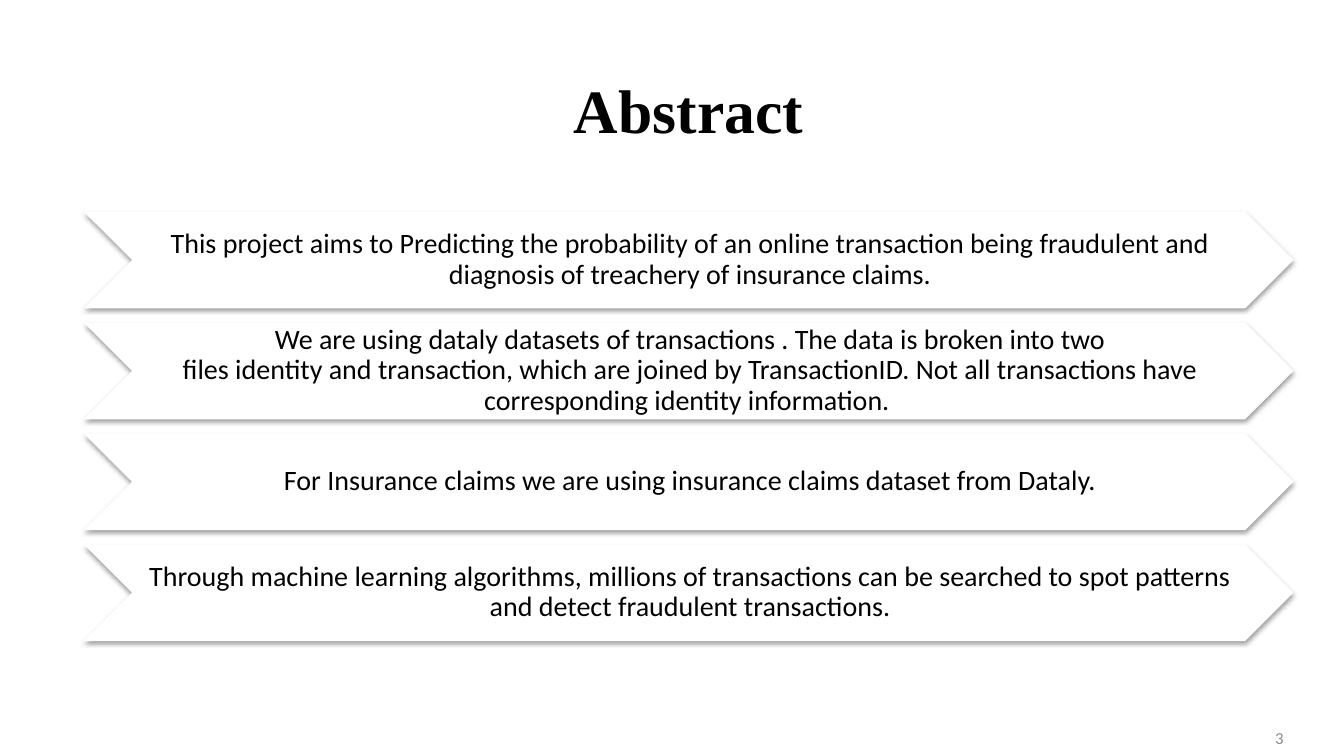
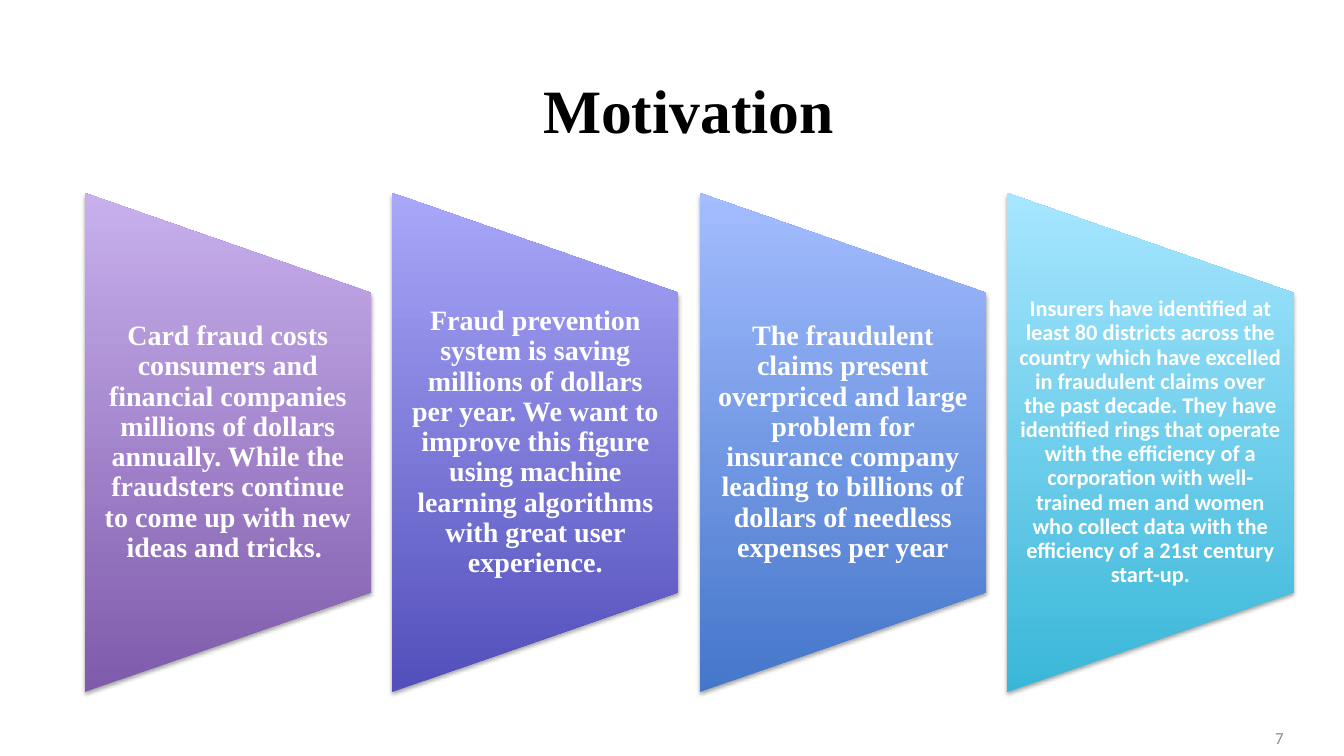
from dataclasses import dataclass
from typing import Any

from lxml import etree
from pptx import Presentation
from pptx import util as u
from pptx.dml.color import RGBColor
from pptx.enum import shapes, text
from pptx.oxml import ns


@dataclass(frozen=True)
class Theme:
    heading: str = "Times New Roman"
    body: str = "Calibri"
    black: str = "000000"
    white: str = "FFFFFF"
    gray: str = "8C8C8C"
    title_size: int = 44
    text_size: int = 20
    small_size: int = 16
    number_size: int = 12


@dataclass(frozen=True)
class Panel:
    message: str
    dark: str
    light: str
    font: str
    size: int
    inset: float = 0.14


THEME = Theme()
HARD_SPACE = chr(160)
LEFT, CONTENT_WIDTH = 0.83, 12
CHEVRON_TOP, CHEVRON_HEIGHT, CHEVRON_STEP = 2.1, 0.96, 1.1
PANEL_LEFT, PANEL_STEP = 0.84, 3.05
PANEL_WIDTH, PANEL_HEIGHT, PANEL_MIDDLE = 2.84, 4.95, 4.39
PANEL_TEXT_HEIGHT = 2.97

ABSTRACT = [
    "This project aims to Predicting the probability of an online transaction being fraudulent "
    "and diagnosis of treachery of insurance claims.",
    "We are using dataly datasets of transactions . The data is broken into two "
    + HARD_SPACE.join(["files", "identity", "and", "transaction, which are joined by",
                       "TransactionID. Not all transactions have "])
    + "corresponding identity information. ",
    "For Insurance claims we are using insurance claims dataset from Dataly.",
    "Through machine learning algorithms, millions of transactions can be searched "
    "to spot patterns and detect fraudulent transactions.",
]

MOTIVATION = [
    Panel(
        "Card fraud costs consumers and financial companies millions of dollars annually. "
        "While the fraudsters continue to come up with new ideas and tricks. ",
        "7F5BAB", "C8B0ED", THEME.heading, THEME.text_size,
    ),
    Panel(
        "Fraud prevention system is saving millions of dollars per year. We want to improve "
        "this figure using machine learning algorithms with great user experience.",
        "534FBB", "A9A7F9", THEME.heading, THEME.text_size,
    ),
    Panel(
        "The fraudulent claims present overpriced and large problem for insurance company "
        "leading to billions of dollars of needless expenses per year",
        "4476CA", "A4BDFF", THEME.heading, THEME.text_size,
    ),
    Panel(
        "Insurers have identified at least 80 districts across the country which have excelled "
        "in fraudulent claims over the past decade. They have identified rings that operate "
        "with the efficiency of a corporation with well-trained men and women who collect data "
        "with the efficiency of a 21st century start-up.",
        "39B7D8", "A7E6FF", THEME.body, THEME.small_size, 0.11,
    ),
]


def set_attributes(target: Any, values: dict[str, Any]) -> None:
    for name, value in values.items():
        setattr(target, name, value)


def inches(*lengths: float) -> list[u.Length]:
    return [u.Inches(length) for length in lengths]


def write(
    box: Any,
    message: str,
    font: str,
    size: int,
    color: str,
    bold: bool = False,
    align: text.PP_ALIGN = text.PP_ALIGN.CENTER,
    spacing: float = 0.9,
    insets: tuple[float, float, float, float] = (0.1, 0.05, 0.1, 0.05),
) -> None:
    left, top, right, bottom = inches(*insets)
    frame = box.text_frame
    set_attributes(frame, {
        "word_wrap": True,
        "vertical_anchor": text.MSO_ANCHOR.MIDDLE,
        "margin_left": left,
        "margin_top": top,
        "margin_right": right,
        "margin_bottom": bottom,
    })
    para = frame.paragraphs[0]
    set_attributes(para, {"alignment": align, "line_spacing": spacing})
    span = para.add_run()
    span.text = message
    set_attributes(span.font, {"name": font, "size": u.Pt(size), "bold": bold})
    span.font.color.rgb = RGBColor.from_string(color)


def add_shadow(shape: Any, distance: float, opacity: int) -> None:
    shape.shadow.inherit = False
    effects = shape._element.spPr.find(ns.qn("a:effectLst"))
    shadow = etree.SubElement(effects, ns.qn("a:outerShdw"), {
        "blurRad": str(u.Pt(3.1)),
        "dist": str(u.Pt(distance)),
        "dir": "5400000",
        "rotWithShape": "0",
    })
    color = etree.SubElement(shadow, ns.qn("a:srgbClr"), val=THEME.black)
    etree.SubElement(color, ns.qn("a:alpha"), val=str(opacity * 1000))


def add_page(deck: Any, title: str, number: int) -> Any:
    page = deck.slides.add_slide(deck.slide_layouts[5])
    heading = page.shapes.title
    left, top, width, height = inches(LEFT, 0.46, CONTENT_WIDTH, 1.25)
    set_attributes(heading, {"left": left, "top": top, "width": width, "height": height})
    write(heading, title, THEME.heading, THEME.title_size, THEME.black, bold=True, spacing=1.0)
    footer = page.shapes.add_textbox(*inches(9.72, 7.12, 3.11, 0.4))
    write(footer, str(number), THEME.body, THEME.number_size, THEME.gray,
          align=text.PP_ALIGN.RIGHT, spacing=1.0)
    return page


def add_chevron(page: Any, message: str, top: float) -> None:
    chevron = page.shapes.add_shape(
        shapes.MSO_SHAPE.CHEVRON, *inches(LEFT, top, CONTENT_WIDTH, CHEVRON_HEIGHT)
    )
    chevron.fill.solid()
    chevron.fill.fore_color.rgb = RGBColor.from_string(THEME.white)
    chevron.line.fill.background()
    add_shadow(chevron, 1.6, 38)
    write(chevron, message, THEME.body, THEME.text_size, THEME.black,
          insets=(0.03, 0.01, 0, 0.01))


def add_panel(page: Any, panel: Panel, left: float) -> None:
    center = left + PANEL_WIDTH / 2
    shape = page.shapes.add_shape(
        shapes.MSO_SHAPE.FLOWCHART_MANUAL_OPERATION,
        *inches(center - PANEL_HEIGHT / 2, PANEL_MIDDLE - PANEL_WIDTH / 2,
                PANEL_HEIGHT, PANEL_WIDTH),
    )
    shape.rotation = 270
    shape.fill.gradient()
    shape.fill.gradient_angle = 90
    for stop, color in zip(shape.fill.gradient_stops, (panel.dark, panel.light)):
        stop.color.rgb = RGBColor.from_string(color)
    shape._element.spPr.find(ns.qn("a:gradFill")).set("rotWithShape", "0")
    shape.line.fill.background()
    add_shadow(shape, 1.8, 35)
    box = page.shapes.add_textbox(
        *inches(left, PANEL_MIDDLE - PANEL_TEXT_HEIGHT / 2, PANEL_WIDTH, PANEL_TEXT_HEIGHT)
    )
    write(box, panel.message, panel.font, panel.size, THEME.white, bold=True,
          insets=(panel.inset, 0, panel.inset, 0))


def main() -> None:
    deck = Presentation()
    deck.slide_width, deck.slide_height = inches(13.33, 7.5)

    abstract = add_page(deck, "Abstract", 3)
    for row, message in enumerate(ABSTRACT):
        add_chevron(abstract, message, CHEVRON_TOP + row * CHEVRON_STEP)

    motivation = add_page(deck, "Motivation", 7)
    for column, panel in enumerate(MOTIVATION):
        add_panel(motivation, panel, PANEL_LEFT + column * PANEL_STEP)

    deck.save("out.pptx")


if __name__ == "__main__":
    main()
